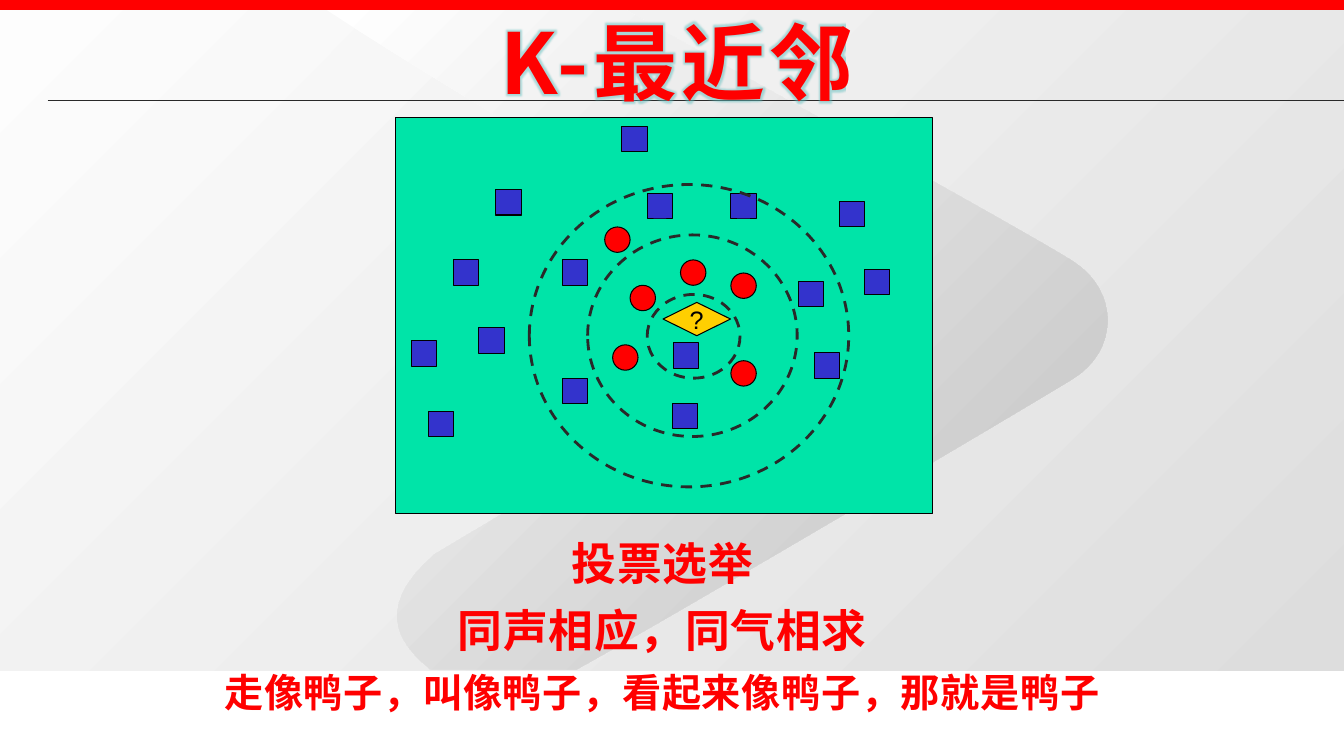
from lxml import etree
from pptx import Presentation
from pptx.dml.color import RGBColor
from pptx.enum.dml import MSO_LINE
from pptx.enum.shapes import MSO_CONNECTOR, MSO_SHAPE
from pptx.enum.text import MSO_ANCHOR, MSO_AUTO_SIZE, PP_ALIGN
from pptx.oxml.ns import qn
from pptx.util import Cm, Pt

RECT, OVAL, DIAMOND = MSO_SHAPE.RECTANGLE, MSO_SHAPE.OVAL, MSO_SHAPE.DIAMOND
CENTER, TOP, MIDDLE = PP_ALIGN.CENTER, MSO_ANCHOR.TOP, MSO_ANCHOR.MIDDLE

# Content: lengths in cm, text sizes in points
TITLE = "K-最近邻"
SAYINGS = [
    ("投票选举", 32),
    ("同声相应，同气相求", 32),
    ("走像鸭子，叫像鸭子，看起来像鸭子，那就是鸭子", 28),
]
TITLE_FONT, SAYING_FONT = "Noto Sans CJK SC", "Noto Sans CJK JP"
RED, BLUE, GREEN, YELLOW = "FF0000", "3333CC", "00E4A8", "FFCF01"
BLACK, DARK = "000000", "292929"

SLIDE_W, SLIDE_H = 33.87, 19.05
TITLE_BOX = (8.92, 0.13, 16.28, 2.7)
SAYINGS_BOX = (5.26, 13.03, 22.86, 5.18)
PANEL = (9.96, 2.97, 13.54, 9.96)
QUERY = (16.71, 7.62, 1.7, 0.84)
MARK = 0.64
RED_POINTS = [(17.15, 6.55), (15.88, 7.19), (15.24, 5.72),
              (18.42, 9.09), (15.44, 8.69), (18.42, 6.88)]
BLUE_POINTS = [(16.94, 10.16), (10.8, 10.36), (12.07, 8.26), (14.17, 9.53),
               (10.36, 8.59), (11.43, 6.55), (16.97, 8.64), (18.42, 4.88),
               (20.52, 8.89), (21.79, 6.78), (20.12, 7.09), (21.16, 5.08),
               (14.17, 6.55), (12.5, 4.78), (16.31, 4.88), (15.67, 3.18)]
RINGS = [(16.31, 7.42, 2.34, 2.11), (14.81, 5.92, 5.28, 5.08),
         (13.34, 4.65, 8.05, 7.62)]

# Backdrop arrow: a start, then one point per straight side, three per curve
ARROW_START = (27.03, 9.55)
ARROW_SIDES = [
    [(25.88, 10.26), (16.66, 15.7), (14.53, 16.87)],
    [(10.85, 16.87)],
    [(10.26, 16.38), (9.25, 15.44), (10.95, 13.97)],
    [(15.93, 11), (19.05, 9.17), (21.16, 8)],
    [(14.71, 4.29), (9.88, 1.35), (8.23, 0.25)],
    [(12.01, 0.2), (15.77, 0.25), (15.77, 0.25)],
    [(18.26, 1.65), (25.86, 5.84), (27.03, 6.58)],
    [(28.22, 7.34), (28.19, 8.84), ARROW_START],
]
CURVE_STEPS = 16


def rgb(value):
    return RGBColor.from_string(value)


def paint_gradient(shape, first, last):
    shape.fill.gradient()
    shape.fill.gradient_angle = 315
    for stop, color in zip(shape.fill.gradient_stops, (first, last)):
        stop.color.rgb = rgb(color)
    shape.line.fill.background()
    shape.shadow.inherit = False


def add_figure(kind, box, fill=None, line=None, width=0.75):
    figure = slide.shapes.add_shape(kind, *map(Cm, box))
    figure.shadow.inherit = False
    if fill:
        figure.fill.solid()
        figure.fill.fore_color.rgb = rgb(fill)
    else:
        figure.fill.background()
    if line:
        figure.line.color.rgb = rgb(line)
        figure.line.width = Pt(width)
    else:
        figure.line.fill.background()
    return figure


def curve_points(start, controls):
    if len(controls) == 1:
        return controls
    corners = list(zip(start, *controls))
    points = []
    for step in range(1, CURVE_STEPS + 1):
        t = step / CURVE_STEPS
        weights = ((1 - t) ** 3, 3 * t * (1 - t) ** 2, 3 * t * t * (1 - t), t ** 3)
        points.append(tuple(sum(w * c for w, c in zip(weights, axis))
                            for axis in corners))
    return points


def place_text(holder, box, anchor=TOP):
    holder.left, holder.top, holder.width, holder.height = map(Cm, box)
    frame = holder.text_frame
    frame.auto_size = MSO_AUTO_SIZE.NONE
    frame.word_wrap = False
    frame.vertical_anchor = anchor
    return frame


def write_line(paragraph, text, size, typeface, spacing, leading):
    run = paragraph.add_run()
    run.text = text
    properties = paragraph._p.get_or_add_pPr()
    properties.set("marL", "0")
    properties.set("indent", "0")
    etree.SubElement(properties, qn("a:buNone"))
    paragraph.alignment = CENTER
    paragraph.space_before = Pt(0)
    paragraph.line_spacing = Pt(size * leading)
    paragraph.font.size = Pt(size)
    paragraph.font.bold = True
    paragraph.font.name = typeface
    paragraph.font.color.rgb = rgb(RED)
    run_properties = run._r.get_or_add_rPr()
    run_properties.set("spc", str(spacing))
    etree.SubElement(run_properties, qn("a:ea"), typeface=typeface)
    return run_properties


deck = Presentation()
deck.slide_width, deck.slide_height = Cm(SLIDE_W), Cm(SLIDE_H)
slide = deck.slides.add_slide(deck.slide_layouts[1])

# Backdrop, top band and title rule
paint_gradient(add_figure(RECT, (0, 0.2, SLIDE_W, 16.69), GREEN), "FDFDFD", "DDDDDD")
outline = [ARROW_START]
for side in ARROW_SIDES:
    outline.extend(curve_points(outline[-1], side))
corners = [(Cm(x), Cm(y)) for x, y in outline]
builder = slide.shapes.build_freeform(*corners[0])
builder.add_line_segments(corners[1:], close=True)
paint_gradient(builder.convert_to_shape(), "FFFFFF", "C0C0C0")
add_figure(RECT, (0, 0, SLIDE_W, 0.25), RED)
rule = slide.shapes.add_connector(
    MSO_CONNECTOR.STRAIGHT, Cm(1.2), Cm(2.54), Cm(SLIDE_W), Cm(2.54))
rule.line.color.rgb = rgb(DARK)
rule.line.width = Pt(1)
etree.SubElement(rule._element.spPr, qn("a:effectLst"))

# Neighbour chart: panel, points, query and dashed rings
add_figure(RECT, PANEL, GREEN, BLACK)
for kind, color, points in ((OVAL, RED, RED_POINTS), (RECT, BLUE, BLUE_POINTS)):
    for x, y in points:
        add_figure(kind, (x, y, MARK, MARK), color, BLACK)
query = add_figure(DIAMOND, QUERY, YELLOW, BLACK)
query_frame = query.text_frame
query_frame.word_wrap = False
query_frame.vertical_anchor = MIDDLE
question = query_frame.paragraphs[0]
question.text = "?"
question.alignment = CENTER
question.font.size = Pt(18)
question.font.name = "Arial"
question.font.color.rgb = rgb(BLACK)
for ring_box in RINGS:
    ring = add_figure(OVAL, ring_box, None, DARK, 2)
    ring.line.dash_style = MSO_LINE.DASH

# Title with a pale outline and a teal glow
title = slide.shapes.title
title_frame = place_text(title, TITLE_BOX)
title_look = write_line(title_frame.paragraphs[0], TITLE, 60, TITLE_FONT, 300, 1.2)
edge = etree.Element(qn("a:ln"), w="11430")
edge_fill = etree.SubElement(edge, qn("a:solidFill"))
etree.SubElement(edge_fill, qn("a:srgbClr"), val="FFF4F4")
effects = etree.Element(qn("a:effectLst"))
glow = etree.SubElement(effects, qn("a:glow"), rad="63500")
glow_color = etree.SubElement(glow, qn("a:srgbClr"), val="5FBFBF")
etree.SubElement(glow_color, qn("a:alpha"), val="50000")
title_look.insert(0, edge)
title_look.insert(1, effects)

# Sayings
sayings = slide.placeholders[1]
sayings_frame = place_text(sayings, SAYINGS_BOX)
for index, (saying, size) in enumerate(SAYINGS):
    line = sayings_frame.add_paragraph() if index else sayings_frame.paragraphs[0]
    write_line(line, saying, size, SAYING_FONT, 50, 1.5)

# Bring the text in front of the backdrop
for holder in (title, sayings):
    slide.shapes._spTree.append(holder._element)

deck.save("out.pptx")
